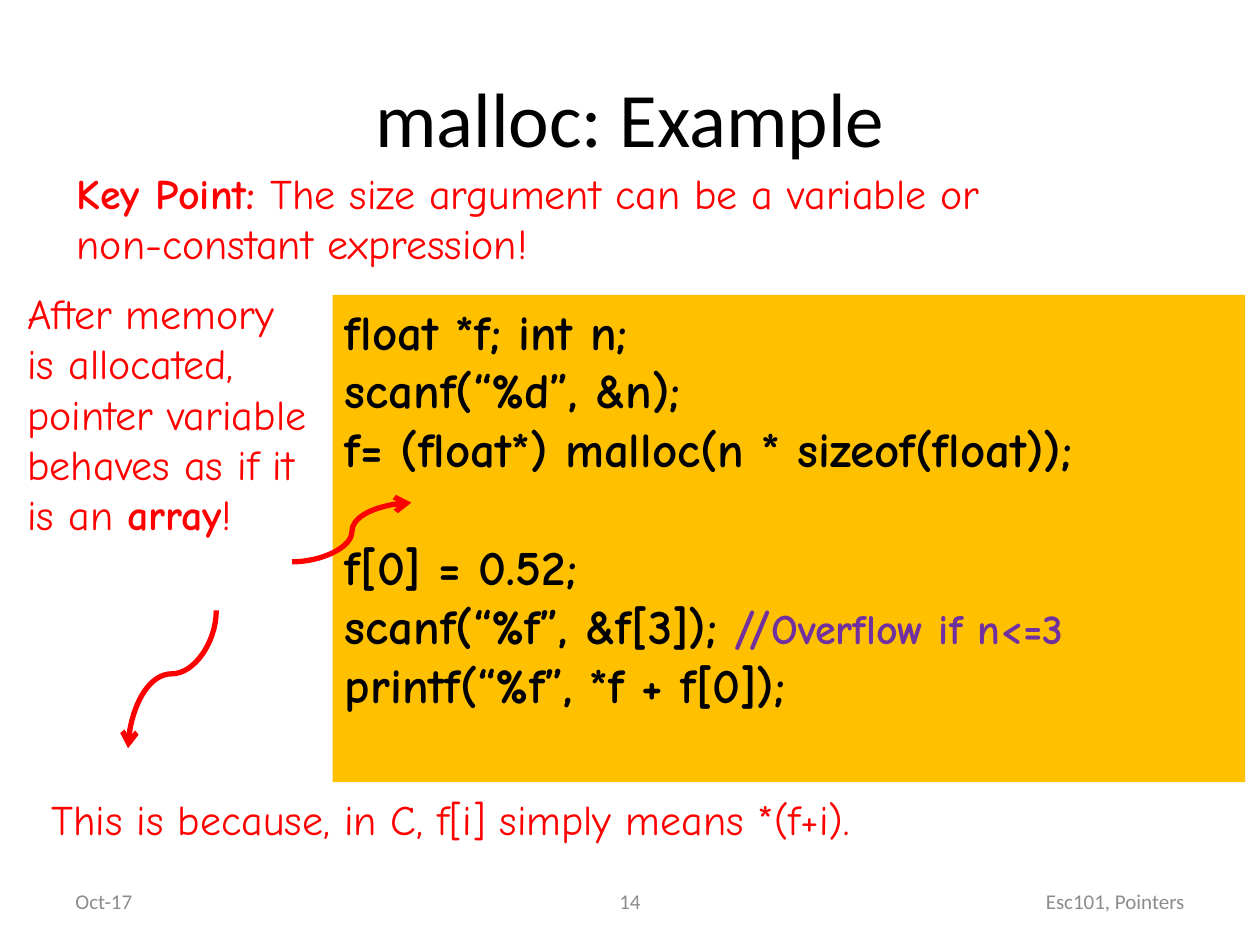
from dataclasses import dataclass

from lxml.etree import SubElement
from pptx import Presentation
from pptx.dml.color import RGBColor
from pptx.enum.shapes import MSO_CONNECTOR, MSO_SHAPE
from pptx.enum.text import MSO_ANCHOR, PP_ALIGN
from pptx.oxml.ns import qn
from pptx.util import Pt

COLORS = {"black": "000000", "gray": "8C8C8C", "red": "FF0000",
          "gold": "FFC000", "purple": "7030A0"}
HAND, PLAIN = "Comic Neue", "Calibri"


@dataclass(frozen=True)
class Style:
    size: float
    color: str
    face: str = HAND
    bold: bool = False


@dataclass(frozen=True)
class Run:
    text: str
    style: Style


@dataclass(frozen=True)
class Line:
    runs: tuple[Run, ...]
    before: float = 0


@dataclass(frozen=True)
class Box:
    left: float
    top: float
    width: float
    height: float
    lines: tuple[Line, ...]
    align: PP_ALIGN = PP_ALIGN.LEFT
    anchor: MSO_ANCHOR = MSO_ANCHOR.TOP
    fill: str = ""


@dataclass(frozen=True)
class Arrow:
    start: tuple[float, float]
    end: tuple[float, float]
    turn: int = 0
    bend: float = 0.5


TITLE = Style(44, "black", PLAIN)
FOOT = Style(12, "gray", PLAIN)
NOTE = Style(24, "red")
KEY = Style(24, "red", bold=True)
CODE = Style(28, "black", bold=True)
SLASH = Style(28, "purple", bold=True)
REMARK = Style(24, "purple", bold=True)


def line(text: str, style: Style, before: float = 0) -> Line:
    return Line((Run(text, style),), before)


def set_font(font, style: Style) -> None:
    font.name, font.size, font.bold = style.face, Pt(style.size), style.bold
    font.color.rgb = RGBColor.from_string(COLORS[style.color])


def draw_box(slide, box: Box) -> None:
    area = [Pt(n) for n in (box.left, box.top, box.width, box.height)]
    if box.fill:
        shape = slide.shapes.add_shape(MSO_SHAPE.RECTANGLE, *area)
        shape.shadow.inherit = False
        shape.fill.solid()
        shape.fill.fore_color.rgb = RGBColor.from_string(COLORS[box.fill])
        shape.line.fill.background()
    else:
        shape = slide.shapes.add_textbox(*area)
    frame = shape.text_frame
    frame.word_wrap = True
    frame.vertical_anchor = box.anchor
    for i, item in enumerate(box.lines):
        para = frame.add_paragraph() if i else frame.paragraphs[0]
        para.alignment = box.align
        if item.before:
            para.space_before = Pt(item.before)
        same = len({run.style for run in item.runs}) == 1
        if same:
            set_font(para.font, item.runs[0].style)
        for part in item.runs:
            run = para.add_run()
            run.text = part.text
            if not same:
                set_font(run.font, part.style)


def draw_arrow(slide, arrow: Arrow) -> None:
    ends = [Pt(n) for n in (*arrow.start, *arrow.end)]
    curve = slide.shapes.add_connector(MSO_CONNECTOR.CURVE, *ends)
    curve.line.color.rgb = RGBColor.from_string(COLORS["red"])
    curve.line.width = Pt(3)
    props = curve._element.spPr
    # Arrowhead, no shadow
    SubElement(props.find(qn("a:ln")), qn("a:tailEnd"), type="arrow")
    SubElement(props, qn("a:effectLst"))
    # Turn and bend
    if arrow.turn:
        props.find(qn("a:xfrm")).set("rot", str(arrow.turn * 60000))
    guides = props.find(qn("a:prstGeom")).find(qn("a:avLst"))
    SubElement(guides, qn("a:gd"), name="adj1",
               fmla=f"val {round(arrow.bend * 100000)}")


MID = MSO_ANCHOR.MIDDLE
BOXES = (
    # Title
    Box(36, 21.6, 648, 90, (line("malloc: Example", TITLE),),
        PP_ALIGN.CENTER, MID),
    # Footer
    Box(36, 500.5, 168, 28.8, (line("Oct-17", FOOT),), anchor=MID),
    Box(246, 500.5, 228, 28.8, (line("14", FOOT),), PP_ALIGN.CENTER, MID),
    Box(516, 500.5, 168, 28.8, (line("Esc101, Pointers", FOOT),),
        PP_ALIGN.RIGHT, MID),
    # Code
    Box(190, 168.5, 521.5, 278.5, (
        line("float *f; int n;", CODE),
        line("scanf(“%d”, &n);", CODE),
        line("f= (float*) malloc(n * sizeof(float));", CODE),
        line("f[0] = 0.52;", CODE, before=33.6),
        Line((Run("scanf(“%f”, &f[3]); ", CODE), Run("//", SLASH),
              Run("Overflow if n<=3", REMARK))),
        line("printf(“%f”, *f + f[0]);", CODE),
    ), fill="gold"),
    # Notes
    Box(36.7, 92.2, 566.6, 65.5, (Line((
        Run("Key Point: ", KEY),
        Run("The size argument can be a variable or non-constant expression!",
            NOTE))),)),
    Box(8.6, 160.6, 175.7, 181.4, (Line((
        Run("After memory is allocated, pointer variable behaves as if it "
            "is an ", NOTE),
        Run("array", KEY), Run("!", NOTE))),)),
    Box(22.3, 450, 566.6, 36,
        (line("This is because, in C, f[i] simply means *(f+i).", NOTE),)),
)
ARROWS = (
    Arrow((167, 321.1), (235.1, 287.3)),
    Arrow((59, 363), (137.8, 413.4), turn=90, bend=0.46),
)


def main() -> None:
    deck = Presentation()
    deck.slide_width, deck.slide_height = Pt(720), Pt(540)
    slide = deck.slides.add_slide(deck.slide_layouts[6])
    for box in BOXES:
        draw_box(slide, box)
    for arrow in ARROWS:
        draw_arrow(slide, arrow)
    deck.save("out.pptx")


if __name__ == "__main__":
    main()
